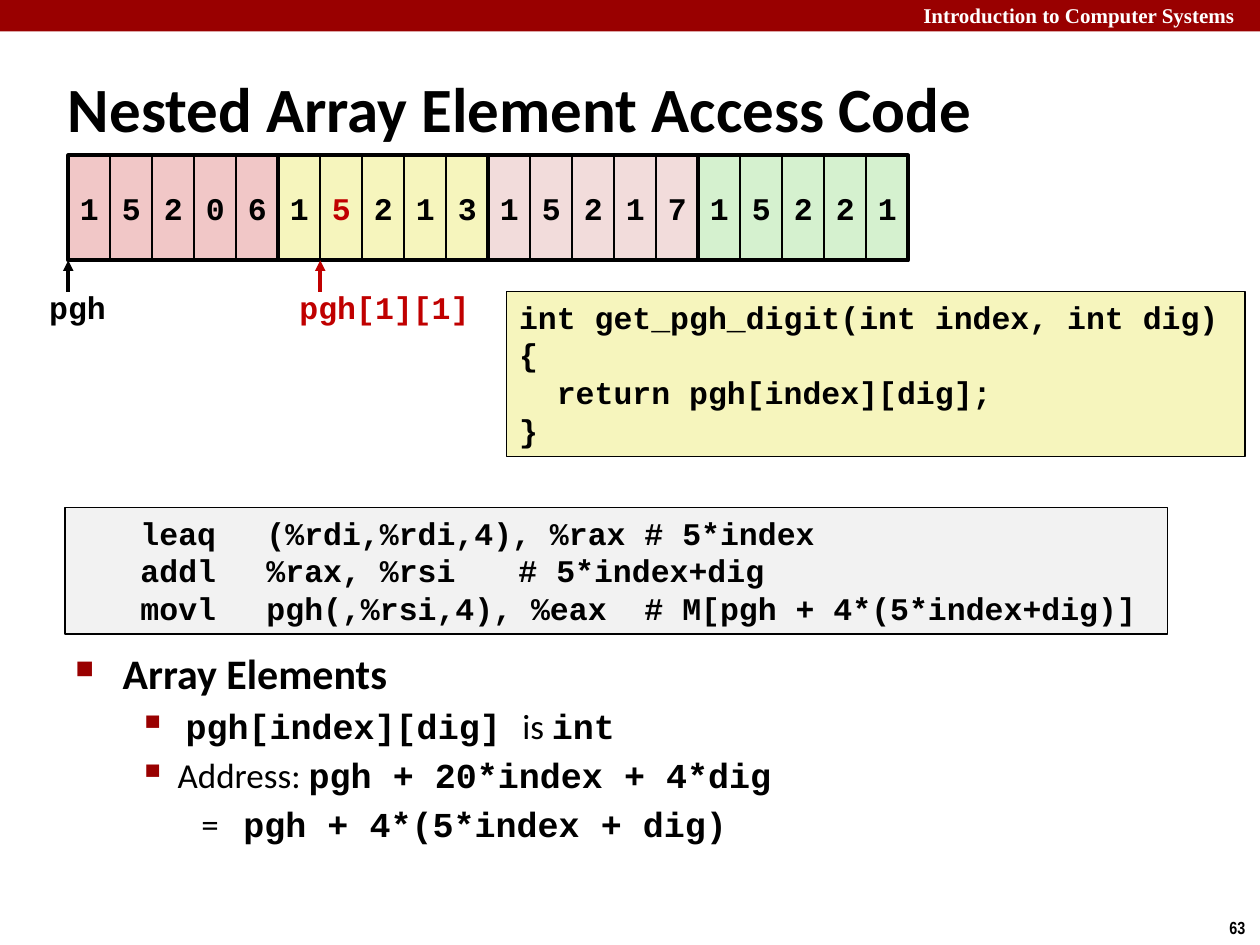
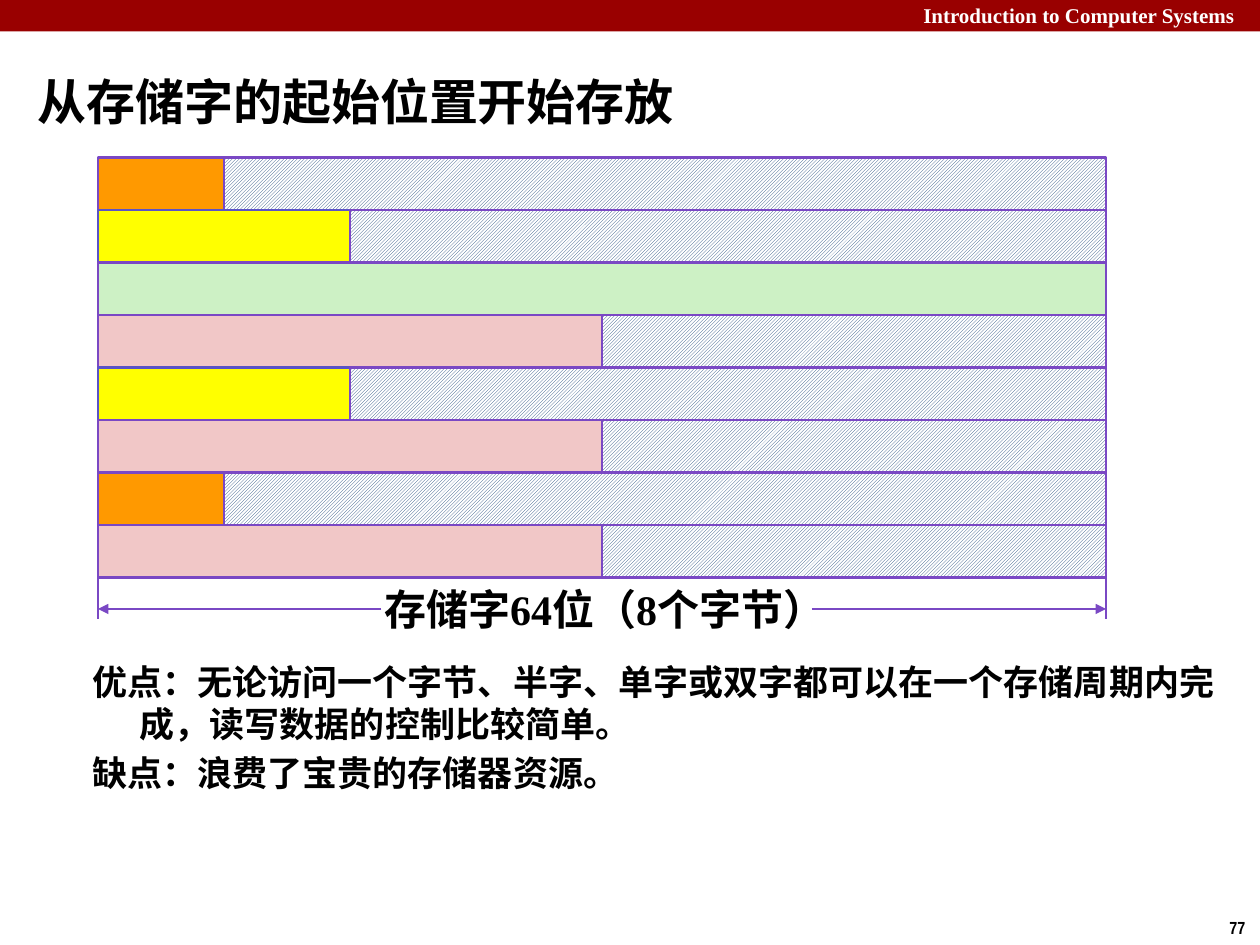
"""Build two lecture slides on array access and memory word layout."""
from lxml import etree
from pptx import Presentation
from pptx.dml.color import RGBColor
from pptx.enum import dml, shapes, text
from pptx.oxml import ns
from pptx.util import Pt

BLACK, WHITE, RED, ACCENT = "000000", "FFFFFF", "990000", "C00000"
PINK, CREAM, ROSE, MINT, GREY = "F1C7C7", "F6F5BD", "F2DCDB", "D5F1CF", "F2F2F2"
ORANGE, YELLOW, GREEN, PURPLE, INDIGO, NAVY = (
    "FF9900", "FFFF00", "CDF1C5", "7A48C4", "5B53C7", "1F497D")
SANS, MONO, SERIF, NARROW = "Calibri", "Courier New", "Times New Roman", "Arial Narrow"
SLIDE_W, SLIDE_H = 720, 540


def rgb(value):
    """Turn a hex string into a colour."""
    return RGBColor.from_string(value)


def child(parent, tag, **attributes):
    """Append a DrawingML element with its attributes."""
    return etree.SubElement(parent, ns.qn(tag), attributes)


def points(*lengths):
    """Convert numbers to lengths in points."""
    return [Pt(length) for length in lengths]


def rect(slide, box, fill=None, line=None, weight=1):
    """Draw a plain rectangle with optional fill and outline."""
    shape = slide.shapes.add_shape(shapes.MSO_SHAPE.RECTANGLE, *points(*box))
    shape.shadow.inherit = False
    if fill:
        shape.fill.solid()
        shape.fill.fore_color.rgb = rgb(fill)
    else:
        shape.fill.background()
    if line:
        shape.line.color.rgb = rgb(line)
        shape.line.width = Pt(weight)
    else:
        shape.line.fill.background()
    return shape


def line(slide, start, end, color, weight, arrow=False):
    """Draw a straight line, with an arrowhead at its end if asked."""
    connector = slide.shapes.add_connector(
        shapes.MSO_CONNECTOR.STRAIGHT, *points(*start, *end))
    connector.line.color.rgb = rgb(color)
    connector.line.width = Pt(weight)
    if arrow:
        child(connector.line._get_or_add_ln(), "a:tailEnd", type="triangle")
    child(connector._element.spPr, "a:effectLst")


def write(shape, paragraphs, font=SANS, size=18, color=BLACK, bold=True, align="LEFT",
          anchor="TOP", wrap=True, before=0, tabs=()):
    """Fill a shape with paragraphs given as text or as (runs, layout) pairs."""
    frame = shape.text_frame
    frame.word_wrap = wrap
    frame.vertical_anchor = getattr(text.MSO_ANCHOR, anchor)
    for index, content in enumerate(paragraphs):
        paragraph = frame.paragraphs[0] if index == 0 else frame.add_paragraph()
        runs, layout = ([content], {}) if isinstance(content, str) else content
        paragraph.alignment = getattr(text.PP_ALIGN, align)
        paragraph.space_before = Pt(before)
        lay_out(paragraph, tabs=tabs, **layout)
        for piece in runs:
            words, changes = (piece, {}) if isinstance(piece, str) else piece
            run = paragraph.add_run()
            run.text = words
            run.font.name = changes.get("font", font)
            run.font.size = Pt(changes.get("size", size))
            run.font.bold = changes.get("bold", bold)
            run.font.color.rgb = rgb(color)


def lay_out(paragraph, margin=0, indent=0, bullet=None, bullet_size=100, tabs=()):
    """Set the indents, bullet and tab stops of a paragraph."""
    properties = paragraph._p.get_or_add_pPr()
    properties.set("marL", str(Pt(margin)))
    properties.set("indent", str(Pt(indent)))
    if bullet:
        child(child(properties, "a:buClr"), "a:srgbClr", val=RED)
        child(properties, "a:buSzPct", val=str(bullet_size * 1000))
        child(properties, "a:buChar", char=bullet)
    else:
        child(properties, "a:buNone")
    if tabs:
        stops = child(properties, "a:tabLst")
        for stop in tabs:
            child(stops, "a:tab", pos=str(Pt(stop)), algn="l")


def label(slide, box, paragraphs, **style):
    """Place a text box."""
    write(slide.shapes.add_textbox(*points(*box)), paragraphs, **style)


def base_slide(deck, number, title, title_box, title_size):
    """Add a slide with the course band, page number and title."""
    slide = deck.slides.add_slide(deck.slide_layouts[6])
    rect(slide, (0, 0, SLIDE_W, 18), RED)
    label(slide, (422.6, -2.2, 293, 21.6), ["Introduction to Computer Systems "],
          font=SERIF, size=12, color=WHITE, align="RIGHT")
    label(slide, (695.5, 520.6, 24.5, 19.4), [str(number)],
          font=NARROW, size=10, wrap=False)
    label(slide, title_box, [title], size=title_size, anchor="MIDDLE")
    return slide


def nested_array(slide, box):
    """Draw the rows of digits side by side, with pointers below."""
    left, top, width, height = box
    rows = (("15206", PINK), ("15213", CREAM), ("15217", ROSE), ("15221", MINT))
    row_width = width / len(rows)
    cell = row_width / 5
    for row, (digits, fill) in enumerate(rows):
        row_left = left + row * row_width
        for column, digit in enumerate(digits):
            element = rect(slide, (row_left + column * cell, top, cell, height), fill, BLACK)
            write(element, [digit], font=MONO, anchor="MIDDLE", align="CENTER", wrap=False,
                  color=ACCENT if (row, column) == (1, 1) else BLACK)
    for row in range(len(rows)):
        rect(slide, (left + row * row_width, top, row_width, height), None, BLACK, 2.25)
    bottom = top + height
    for name, index, shift, name_width, color in (
            ("pgh", 0, -18, 47.5, BLACK), ("pgh[1][1]", 6, -19, 112, ACCENT)):
        x = left + index * cell
        line(slide, (x, bottom + 18), (x, bottom), color, 2, arrow=True)
        label(slide, (x + shift, bottom + 12, name_width, 29), [name],
              font=MONO, color=color, wrap=False)


def code_panel(slide, box, fill, lines, **style):
    """Draw a framed listing of code."""
    write(rect(slide, box, fill, BLACK), lines, font=MONO, **style)


def element_notes(slide, box):
    """Write the bulleted notes on array elements."""
    mono, plain = {"font": MONO}, {"bold": False}
    second = {"margin": 58.4, "indent": -22.4, "bullet": "▪", "bullet_size": 110}
    label(slide, box, [
        ([("Array Elements", {"size": 24})],
         {"margin": 27, "indent": -27, "bullet": "■", "bullet_size": 60}),
        ([" ", ("pgh[index][dig] ", mono), ("is ", plain), ("int", mono)], second),
        ([("Address: ", plain), ("pgh + 20*index + 4*dig", mono)], second),
        ([("=\t", plain), ("pgh + 4*(5*index + dig)", mono)],
         {"margin": 96, "indent": -24}),
    ], size=20, before=4)


def memory_words(slide, box):
    """Draw one bar per memory word, with the unused bytes hatched."""
    left, top, width, height = box
    words = ((1, ORANGE), (2, YELLOW), (8, GREEN), (4, PINK),
             (2, YELLOW), (4, PINK), (1, ORANGE), (4, PINK))
    byte, word_height = width / 8, height / len(words)
    for column in range(1, 8):
        x = left + column * byte
        line(slide, (x, top), (x, top + height), PURPLE, 1.5)
    for row, (used, fill) in enumerate(words):
        y = top + row * word_height
        rect(slide, (left, y, used * byte, word_height), fill,
             INDIGO if fill == YELLOW else PURPLE, 1.5)
        if used < 8:
            unused = rect(slide, (left + used * byte, y, (8 - used) * byte, word_height),
                          WHITE, PURPLE, 1.5)
            unused.fill.patterned()
            unused.fill.pattern = dml.MSO_PATTERN.LIGHT_UPWARD_DIAGONAL
            unused.fill.fore_color.rgb = rgb(NAVY)
            unused.fill.back_color.rgb = rgb(WHITE)


def word_width(slide, box):
    """Draw the dimension line that names the width of a word."""
    left, top, width, height = box
    right, y = left + width, top + 18
    for x, rise in ((left, 6), (right, 12)):
        line(slide, (x, top - rise), (x, top + height), PURPLE, 1.5)
    line(slide, (left + 408, y), (right, y), PURPLE, 1.5, arrow=True)
    line(slide, (left + 162, y), (left, y), PURPLE, 1.5, arrow=True)
    label(slide, (left + 156.4, top, 300, 36), ["存储字64位（8个字节）"], font=SERIF, size=24)


def array_slide(deck):
    """Build the slide on nested array access."""
    slide = base_slide(deck, 63, "Nested Array Element Access Code",
                       (31.7, 39, 652, 45), 36)
    element_notes(slide, (36, 366.5, 655, 137.5))
    code_panel(slide, (289.5, 166.5, 422, 94.3), CREAM, [
        "int get_pgh_digit(int index, int dig)", "{",
        (["return pgh[index][dig];"], {"margin": 21.6}), "}"])
    code_panel(slide, (37.2, 290, 630, 72.5), GREY, [
        "\tleaq\t(%rdi,%rdi,4), %rax\t# 5*index",
        "\taddl\t%rax, %rsi\t# 5*index+dig",
        "\tmovl\tpgh(,%rsi,4), %eax\t# M[pgh + 4*(5*index+dig)]"],
        tabs=(9, 76.5, 315))
    nested_array(slide, (39, 88.8, 480, 60))


def storage_slide(deck):
    """Build the slide on storing data from the start of a word."""
    slide = base_slide(deck, 77, "从存储字的起始位置开始存放", (14.4, 32, 580, 51), 28)
    hanging = {"margin": 27, "indent": -27}
    label(slide, (45.7, 373.7, 669, 111.6), [
        (["优点：无论访问一个字节、半字、单字或双字都可以在一个存储周期内完成，"
          "读写数据的控制比较简单。"], hanging),
        (["缺点：浪费了宝贵的存储器资源。"], hanging)], size=20, before=4)
    memory_words(slide, (56, 90, 576, 240))
    word_width(slide, (56, 330, 576, 24))


def main():
    """Build and save the presentation."""
    deck = Presentation()
    deck.slide_width, deck.slide_height = points(SLIDE_W, SLIDE_H)
    array_slide(deck)
    storage_slide(deck)
    deck.save("out.pptx")


if __name__ == "__main__":
    main()
